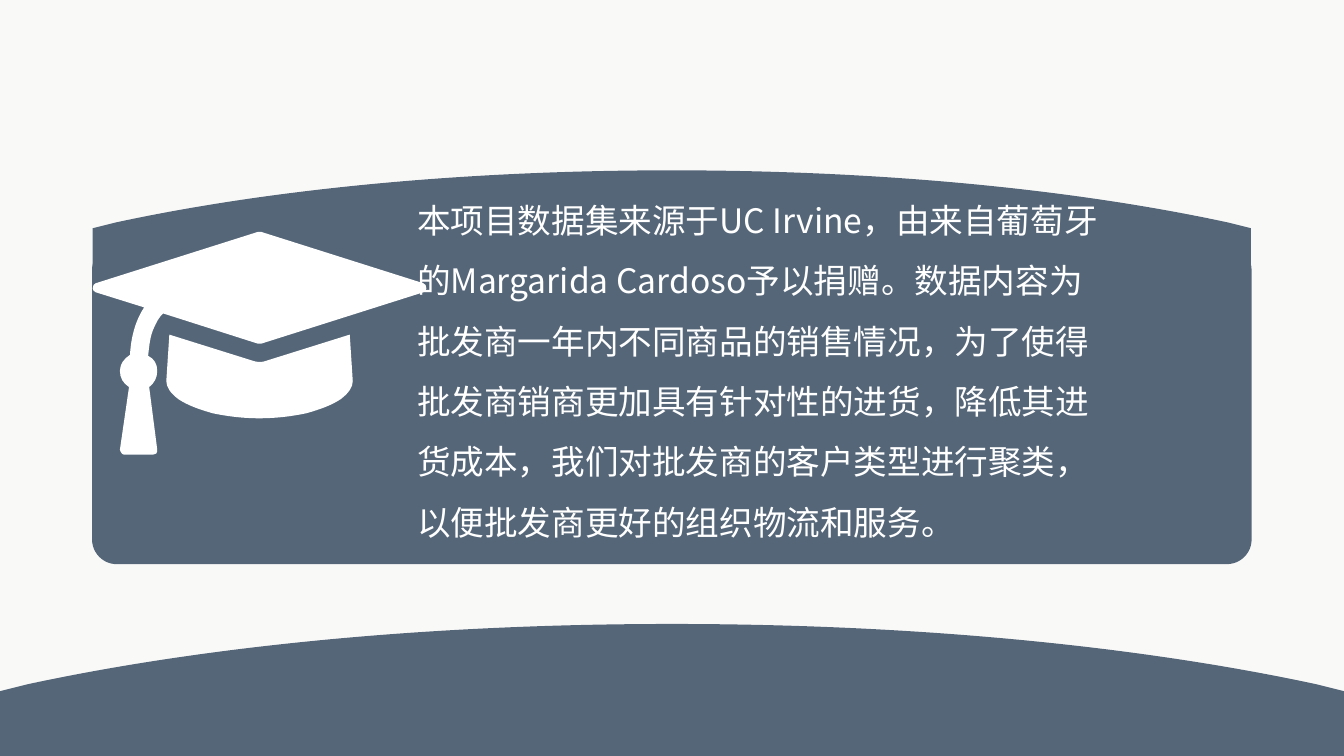
from lxml import etree
from pptx import Presentation
from pptx import util as u
from pptx.dml.color import RGBColor
from pptx.enum import shapes, text
from pptx.oxml import ns

PX = 9144
PAPER = RGBColor(0xF9, 0xF9, 0xF8)
SLATE = RGBColor(0x55, 0x66, 0x79)
WHITE = RGBColor(0xFF, 0xFF, 0xFF)
FACE = "Noto Sans CJK JP"
BODY = (
    "本项目数据集来源于UC Irvine，由来自葡萄牙的Margarida Cardoso予以捐赠。"
    "数据内容为批发商一年内不同商品的销售情况，为了使得批发商销商更加具有针对性的进货，"
    "降低其进货成本，我们对批发商的客户类型进行聚类，以便批发商更好的组织物流和服务。"
)
BOARD = [
    (423, 286), (423, 288, 422, 289, 420, 290), (259, 341),
    (259, 341, 258, 341, 257, 341), (257, 341, 256, 341, 256, 341),
    (162, 311),
    (158, 314, 155, 320, 152, 327), (149, 334, 148, 343, 147, 353),
    (153, 356, 156, 361, 156, 368), (156, 375, 153, 380, 148, 384),
    (156, 446), (156, 447, 156, 449, 155, 450),
    (154, 451, 153, 451, 152, 451), (124, 451),
    (123, 451, 121, 451, 121, 450), (120, 449, 119, 447, 119, 446),
    (128, 384), (122, 380, 119, 375, 119, 368),
    (119, 361, 123, 356, 129, 352), (130, 333, 135, 317, 143, 305),
    (95, 290), (93, 289, 92, 288, 92, 286), (92, 283, 93, 282, 95, 281),
    (256, 230), (256, 230, 257, 230, 258, 230),
    (258, 230, 259, 230, 259, 230), (420, 281),
    (422, 282, 423, 283, 423, 286),
]
CROWN = [
    (347, 332), (350, 378), (350, 384, 346, 390, 338, 396),
    (329, 402, 318, 406, 304, 410), (290, 413, 274, 415, 257, 415),
    (241, 415, 225, 413, 211, 410), (197, 406, 186, 402, 177, 396),
    (169, 390, 165, 384, 165, 378), (168, 332), (251, 358),
    (253, 359, 255, 359, 258, 359), (260, 359, 262, 359, 264, 358),
    (347, 332),
]


def split(seg):
    """Split a segment into EMU points."""
    return [(x * PX, y * PX) for x, y in zip(seg[::2], seg[1::2])]


def paint(shape, color):
    """Fill a shape flat, without outline or shadow."""
    shape.shadow.inherit = False
    shape.fill.solid()
    shape.fill.fore_color.rgb = color
    shape.line.fill.background()


def bend(shape, segs):
    """Merge the three steps of each curved segment into one cubic."""
    steps = iter(list(shape._element.iter(ns.qn("a:lnTo"))))
    for seg in segs:
        group = [next(steps) for _ in range(len(seg) // 2)]
        if len(group) == 3:
            cubic = etree.Element(ns.qn("a:cubicBezTo"))
            group[0].addprevious(cubic)
            for step in group:
                cubic.append(step[0])
                step.getparent().remove(step)


def outline(slide, paths, color):
    """Draw closed paths of lines and curves as one filled shape."""
    start = split(paths[0][0])[0]
    form = slide.shapes.build_freeform(*start, scale=1.0)
    for i, path in enumerate(paths):
        if i:
            form.move_to(*split(path[0])[0])
        pts = [pt for seg in path[1:] for pt in split(seg)]
        form.add_line_segments(pts, close=True)
    shape = form.convert_to_shape()
    bend(shape, [seg for path in paths for seg in path[1:]])
    paint(shape, color)


def dome(slide, left, top, right, base):
    """Draw an arched slab whose curve scales with its width."""
    half, mid = (right - left) / 2, (left + right) / 2

    def at(x, y):
        return mid + x * half, top + y * half

    outline(slide, [[
        (left, base), (right, base), at(1, 0.1), at(0.96, 0.09),
        at(0.7, 0.034) + at(0.37, 0) + at(0, 0),
        at(-0.37, 0) + at(-0.7, 0.034) + at(-0.96, 0.09),
        at(-1, 0.1),
    ]], SLATE)


def panel(slide, *box):
    """Draw the rounded panel."""
    kind = shapes.MSO_SHAPE.ROUNDED_RECTANGLE
    shape = slide.shapes.add_shape(kind, *(n * PX for n in box))
    shape.adjustments[0] = 0.076
    paint(shape, SLATE)
    shape.line.color.rgb = SLATE
    shape.line.width = u.Pt(1)


def note(slide, words, *box):
    """Add the wrapped body text."""
    frame = slide.shapes.add_textbox(*(n * PX for n in box)).text_frame
    frame.word_wrap = True
    frame.auto_size = text.MSO_AUTO_SIZE.SHAPE_TO_FIT_TEXT
    para = frame.paragraphs[0]
    para.line_spacing = 1.5
    run = para.add_run()
    run.text = words
    look = {"name": FACE, "size": u.Pt(24)}
    for key, value in look.items():
        setattr(run.font, key, value)
    run.font.color.rgb = WHITE
    props = run._r.get_or_add_rPr()
    props.set("lang", "zh-CN")
    etree.SubElement(props, ns.qn("a:ea")).set("typeface", FACE)


def main():
    """Build and save the slide."""
    deck = Presentation()
    deck.slide_width, deck.slide_height = u.Emu(12192000), 750 * PX
    slide = deck.slides.add_slide(deck.slide_layouts[6])
    slide.background.fill.solid()
    slide.background.fill.fore_color.rgb = PAPER
    dome(slide, 92, 169, 1241, 272)
    panel(slide, 92, 244, 1149, 315)
    note(slide, BODY, 404, 173, 705, 424)
    outline(slide, [BOARD, CROWN], WHITE)
    dome(slide, 0, 619, deck.slide_width / PX, 750)
    deck.save("out.pptx")


if __name__ == "__main__":
    main()
